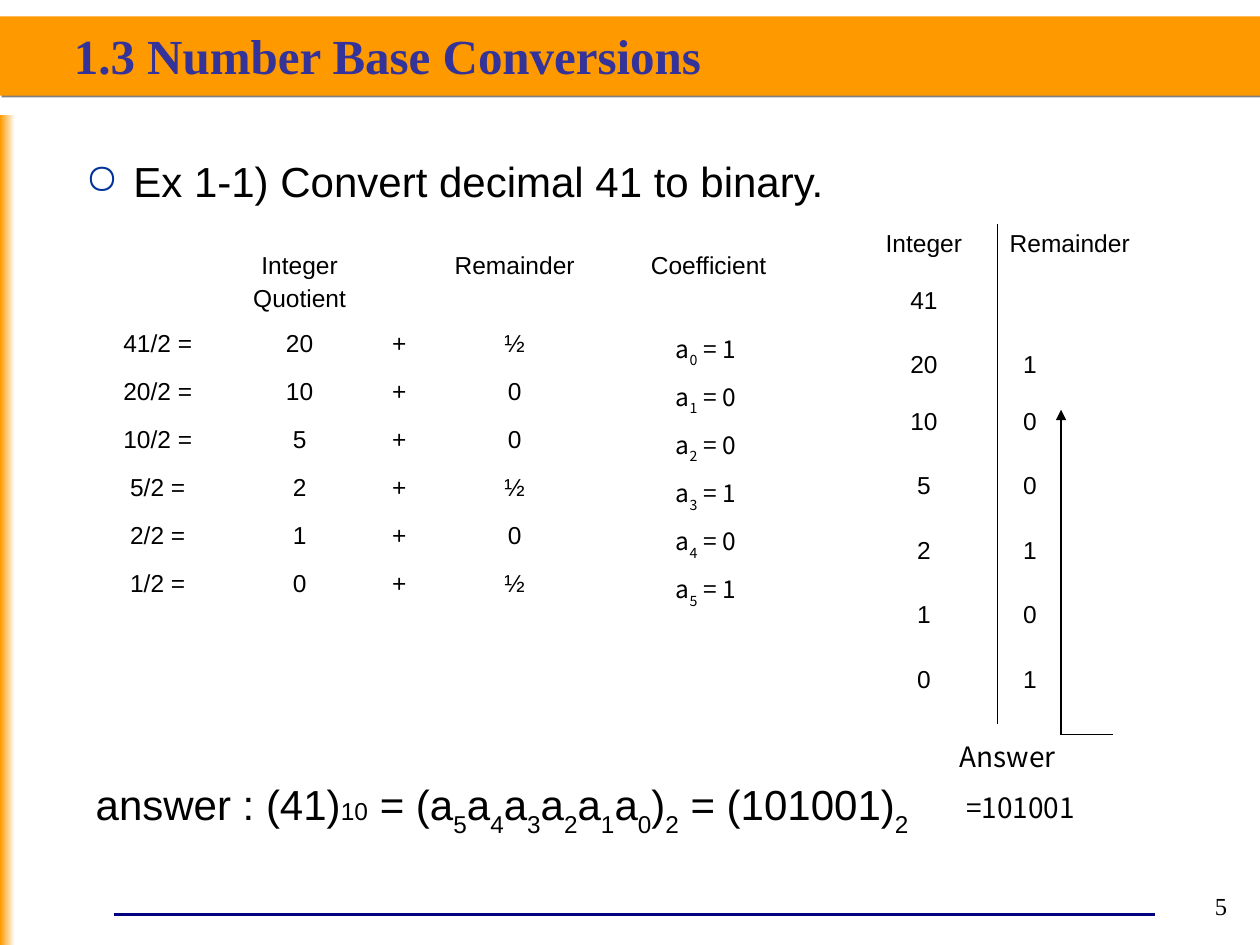
"""Build a slide on converting decimal 41 to binary."""
from dataclasses import dataclass, field
from typing import NamedTuple

from pptx import Presentation
from pptx.dml.color import RGBColor as Rgb
from pptx.enum.shapes import MSO_CONNECTOR as Link, MSO_SHAPE as Form
from pptx.enum.text import MSO_ANCHOR as Anchor, PP_ALIGN as Align
from pptx.oxml import parse_xml
from pptx.oxml.ns import nsdecls, qn
from pptx.util import Cm, Pt


@dataclass(frozen=True)
class Theme:
    """Colours, fonts and type sizes."""
    ink: str = "000000"
    bar: str = "FF9900"
    pale: str = "FEFEFE"
    title: str = "333399"
    mark: str = "003399"
    rule: str = "000080"
    shade: str = "808080"
    sans: str = "Arial"
    serif: str = "Times New Roman"
    cjk: str = "Noto Sans CJK KR"
    head: int = 28
    body: int = 24
    note: int = 16
    small: int = 14


T = Theme()
BARE = "{2D5ABB26-0587-4C30-8999-92F81FD0307C}"


class Bit(NamedTuple):
    """A run of text."""
    text: str
    sub: bool = False
    size: int = 0


@dataclass
class Para:
    """A paragraph with its format."""
    bits: list[Bit]
    size: int = T.small
    font: str = T.sans
    color: str = T.ink
    bold: bool = False
    left: float = 0
    hang: float = 0
    bullet: str = ""
    form: dict = field(default_factory=dict)


class Box(NamedTuple):
    """A text box in centimetres."""
    x: float
    y: float
    w: float
    h: float
    paras: list[Para]
    form: dict = {}


class Grid(NamedTuple):
    """A table in centimetres."""
    x: float
    y: float
    cols: list[float]
    rows: list[float]
    cells: list[list[list[Para]]]
    split: bool = False


class Line(NamedTuple):
    """A straight line in centimetres."""
    x: float
    y: float
    to_x: float
    to_y: float
    color: str = T.ink
    width: float = 0.75
    arrow: bool = False


def bits(text: str) -> list[Bit]:
    """Split text at bars, every second part being a subscript."""
    return [Bit(part, i % 2 == 1) for i, part in enumerate(text.split("|"))]


def put(item: object, form: dict) -> None:
    """Set each format value on an object."""
    for key, val in form.items():
        setattr(item, key, val)


def add_xml(node, text: str) -> None:
    """Append a DrawingML element given as its tag and content."""
    tag, rest = text.split(" ", 1)
    node.append(parse_xml(f"<a:{tag} {nsdecls('a')} {rest}"))


def write(frame, paras: list[Para]) -> None:
    """Write paragraphs into a text frame."""
    for i, item in enumerate(paras):
        para = frame.add_paragraph() if i else frame.paragraphs[0]
        put(para, item.form)
        prop = para._p.get_or_add_pPr()
        prop.set("marL", str(Cm(item.left)))
        prop.set("indent", str(Cm(-item.hang)))
        if item.bullet:
            add_xml(prop, f'buClr ><a:srgbClr val="{T.mark}"/></a:buClr>')
            add_xml(prop, f'buChar char="{item.bullet}"/>')
        for bit in item.bits:
            run = para.add_run()
            run.text = bit.text
            put(run.font, {"size": Pt(bit.size or item.size),
                           "name": item.font, "bold": item.bold})
            run.font.color.rgb = Rgb.from_string(item.color)
            if bit.sub:
                run._r.get_or_add_rPr().set("baseline", "-30000")


def draw_box(slide, box: Box) -> None:
    """Draw a text box."""
    frame = slide.shapes.add_textbox(*map(Cm, box[:4])).text_frame
    put(frame, {"word_wrap": True, **box.form})
    write(frame, box.paras)


def draw_line(slide, line: Line) -> None:
    """Draw a line or an arrow."""
    conn = slide.shapes.add_connector(Link.STRAIGHT, *map(Cm, line[:4]))
    conn.line.color.rgb = Rgb.from_string(line.color)
    conn.line.width = Pt(line.width)
    prop = conn.element.spPr
    if line.arrow:
        add_xml(prop.find(qn("a:ln")), 'tailEnd type="triangle"/>')
    add_xml(prop, "effectLst />")


def draw_grid(slide, grid: Grid) -> None:
    """Draw a plain table, with a line between columns if split."""
    size = sum(grid.cols), sum(grid.rows)
    shape = slide.shapes.add_table(len(grid.rows), len(grid.cols),
                                   *map(Cm, (grid.x, grid.y, *size)))
    next(shape.element.iter(qn("a:tableStyleId"))).text = BARE
    table = shape.table
    put(table, {"first_row": False, "horz_banding": False})
    for col, wide in zip(table.columns, grid.cols):
        col.width = Cm(wide)
    for r, (row, high) in enumerate(zip(table.rows, grid.rows)):
        row.height = Cm(high)
        for c, cell in enumerate(row.cells):
            write(cell.text_frame, grid.cells[r][c])
            if grid.split:
                side = "lnL" if c else "lnR"
                add_xml(cell._tc.get_or_add_tcPr(),
                        f'{side} w="{Pt(0.45)}"><a:solidFill><a:srgbClr '
                        f'val="{T.ink}"/></a:solidFill></a:{side}>')
            cell.fill.background()


def draw_frame(slide) -> None:
    """Draw the title bar and the side strip."""
    bar, strip = (slide.shapes.add_shape(Form.RECTANGLE, *map(Cm, at))
                  for at in ((0, 0.33, 25.4, 1.6), (0, 2.31, 0.3, 16.74)))
    for shape in (bar, strip):
        shape.line.fill.background()
        shape.shadow.inherit = False
    bar.fill.solid()
    bar.fill.fore_color.rgb = Rgb.from_string(T.bar)
    add_xml(bar.element.spPr.find(qn("a:effectLst")),
            f'outerShdw dist="{Pt(1.4)}" dir="2700000">'
            f'<a:srgbClr val="{T.shade}"/></a:outerShdw>')
    strip.fill.gradient()
    strip.fill.gradient_angle = 180
    for stop, color, at in zip(strip.fill.gradient_stops, (T.pale, T.bar), (0, 1)):
        stop.color.rgb = Rgb.from_string(color)
        stop.position = at


def item(text: str, mid: bool = True, **more) -> list[Para]:
    """Make the paragraphs of a table cell, one per line."""
    form = {"space_before": Pt(3.5), "alignment": Align.CENTER if mid else Align.LEFT}
    return [Para(bits(part), form=form, **more) for part in text.split("\n") if part]


def make_grids(num: int) -> list[Grid]:
    """Work out both tables by repeated halving."""
    names = ["", "Integer\nQuotient", "", "Remainder", "Coefficient"]
    steps = [[item(name) for name in names]]
    short = [[item("Integer"), item("Remainder", False)], [item(str(num)), []]]
    while num:
        half, rest = divmod(num, 2)
        row = [f"{num}/2 =", str(half), "+", "½" if rest else "0"]
        coef = item(f"a|{len(steps) - 1}| = {rest} ", font=T.cjk)
        steps.append([*map(item, row), coef])
        short.append([item(str(half)), item(str(rest), False, left=0.27)])
        num = half
    return [Grid(1.91, 4.95, [2.54, 3.18, 0.84, 3.81, 4.01],
                 [1.57] + [0.97] * 6, steps),
            Grid(17.15, 4.52, [2.95, 3.84],
                 [1.14, 1.3, 1.14] + [1.3] * 5, short, True)]


def main() -> None:
    """Build and save the slide."""
    deck = Presentation()
    put(deck, {"slide_width": Cm(25.4), "slide_height": Cm(19.05)})
    slide = deck.slides.add_slide(deck.slide_layouts[6])
    body = {"line_spacing": 0.9, "space_before": Pt(6)}
    note = {"space_before": Pt(10)}
    answer = [Bit("answer : (41)"), Bit("10", size=T.small),
              *bits(" = (a|5|a|4|a|3|a|2|a|1|a|0|)|2| = (101001)|2")]
    boxes = [
        Box(1.24, 0.53, 22.86, 1.17,
            [Para(bits("1.3 Number Base Conversions"), T.head, T.serif, T.title, True)],
            {"vertical_anchor": Anchor.MIDDLE}),
        Box(1.47, 3.12, 22.23, 1.3,
            [Para(bits("Ex 1-1) Convert decimal 41 to binary."), T.body,
                  left=0.97, hang=0.97, bullet="○", form=body)]),
        Box(1.68, 15.57, 17.4, 1.3, [Para(answer, T.body, form=body)]),
        Box(19.1, 14.78, 3.81, 1.96,
            [Para(bits("Answer"), T.note, T.cjk, form=note),
             Para(bits("=101001"), T.note, T.cjk, left=0.13, form=note)]),
        Box(23.57, 17.83, 1.42, 0.94,
            [Para(bits("5"), font=T.serif, form={"alignment": Align.RIGHT})]),
    ]
    lines = [Line(2.29, 18.44, 23.29, 18.44, T.rule, 1.5),
             Line(21.39, 14.81, 22.43, 14.81),
             Line(21.39, 14.81, 21.39, 8.26, arrow=True)]
    draw_frame(slide)
    for draw, parts in ((draw_box, boxes), (draw_grid, make_grids(41)),
                        (draw_line, lines)):
        for part in parts:
            draw(slide, part)
    deck.save("out.pptx")


if __name__ == "__main__":
    main()
